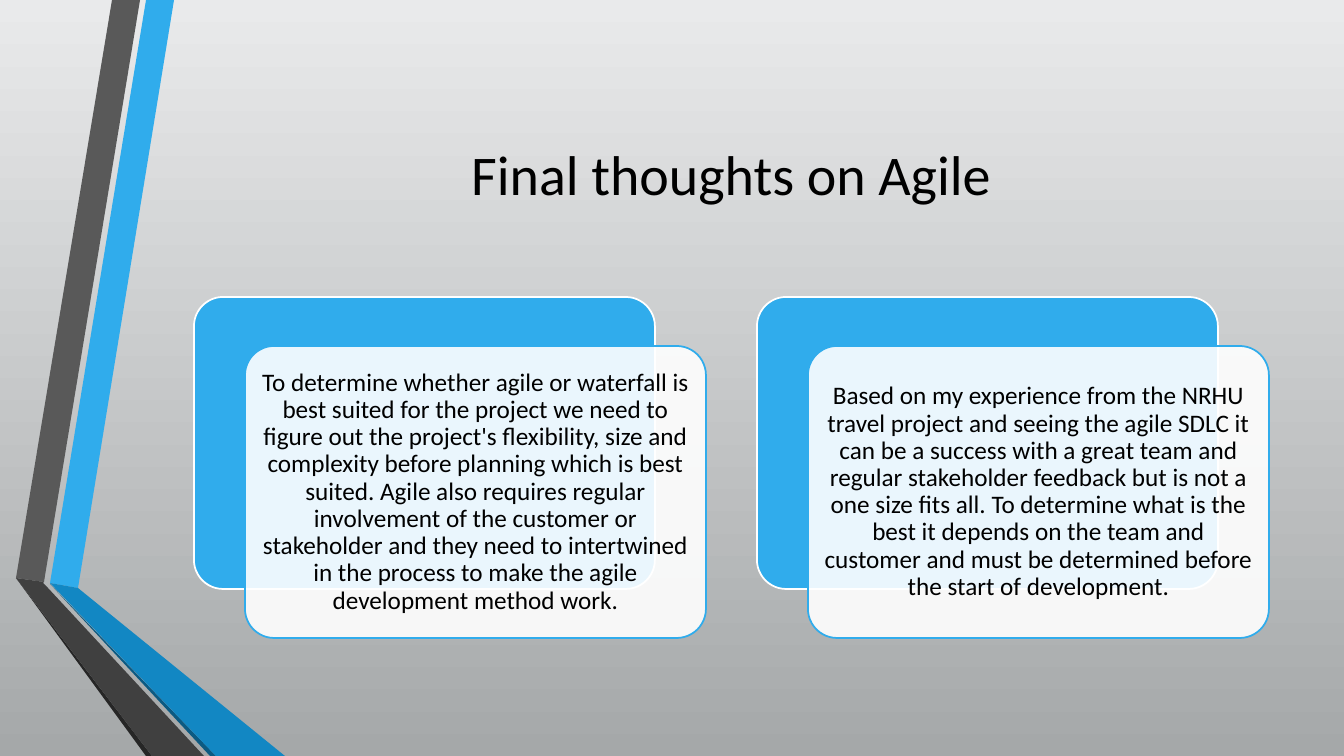
from pptx import Presentation
from pptx.dml.color import RGBColor
from pptx.enum.shapes import MSO_SHAPE
from pptx.enum.text import MSO_ANCHOR, MSO_AUTO_SIZE, PP_ALIGN
from pptx.oxml.ns import qn
from pptx.util import Pt
from lxml.etree import SubElement

TITLE = "Final thoughts on Agile"
THOUGHTS = [
    "To determine whether agile or waterfall is best suited for the project we need to "
    "figure out the project's flexibility, size and complexity before planning which is "
    "best suited. Agile also requires regular involvement of the customer or stakeholder "
    "and they need to intertwined in the process to make the agile development method work.",
    "Based on my experience from the NRHU travel project and seeing the agile SDLC it can "
    "be a success with a great team and regular stakeholder feedback but is not a one size "
    "fits all. To determine what is the best it depends on the team and customer and must "
    "be determined before the start of development.",
]
RIBBONS = [
    ("30ACEC", [(50, 583), (78, 588), (174, 0), (146, 0)]),
    ("595959", [(140, 0), (112, 0), (16, 578), (44, 582)]),
    ("262626", [(16, 578), (146, 756), (152, 756)]),
    ("0C5A82", [(50, 584), (210, 756), (216, 756)]),
    ("1287C3", [(50, 583), (216, 756), (285, 756), (78, 588)]),
    ("404040", [(204, 756), (48, 588), (43, 583), (44, 582), (16, 578), (152, 756)]),
]
BACKGROUND = ["E9EAEB", "A5A8A9"]
BLUE, WHITE, BLACK = "30ACEC", "FFFFFF", "000000"
FONT = "Calibri"

PX = 914400 / 100.8
SLIDE_W, SLIDE_H = 1344, 756
TITLE_BOX = (194, 76, 1074, 194)
CARD_LEFT, CARD_TOP, CARD_W, CARD_H = 194, 297, 461, 292
CARD_STEP, SHIFT_X, SHIFT_Y = 563, 51, 49
INSET = 7


def px(length):
    """Turn pixels into EMU."""
    return round(length * PX)


def color(value):
    """Turn a hex string into a colour."""
    return RGBColor.from_string(value)


def write(frame, text, size, inset):
    """Put one centred run into a text frame."""
    frame.word_wrap = True
    frame.auto_size = MSO_AUTO_SIZE.NONE
    frame.vertical_anchor = MSO_ANCHOR.MIDDLE
    frame.margin_left = frame.margin_right = px(inset)
    frame.margin_top = frame.margin_bottom = px(inset)
    paragraph = frame.paragraphs[0]
    paragraph.alignment = PP_ALIGN.CENTER
    run = paragraph.add_run()
    run.text = text
    run.font.size = Pt(size)
    run.font.name = FONT
    run.font.color.rgb = color(BLACK)
    return paragraph


def add_ribbon(slide, fill, points):
    """Draw one closed ribbon facet."""
    builder = slide.shapes.build_freeform(*points[0], scale=PX)
    builder.add_line_segments(points[1:], close=True)
    ribbon = builder.convert_to_shape()
    ribbon.shadow.inherit = False
    ribbon.fill.solid()
    ribbon.fill.fore_color.rgb = color(fill)
    ribbon.line.fill.background()


def add_card(slide, left, top, fill, line):
    """Draw one rounded card."""
    box = map(px, (left, top, CARD_W, CARD_H))
    card = slide.shapes.add_shape(MSO_SHAPE.ROUNDED_RECTANGLE, *box)
    card.adjustments[0] = 0.1
    card.shadow.inherit = False
    card.fill.solid()
    card.fill.fore_color.rgb = color(fill)
    card.line.color.rgb = color(line)
    card.line.width = Pt(1.25)
    return card


def add_thought(slide, left, text):
    """Draw a blue card with a translucent text card over it."""
    add_card(slide, left, CARD_TOP, BLUE, WHITE)
    front = add_card(slide, left + SHIFT_X, CARD_TOP + SHIFT_Y, WHITE, BLUE)
    tint = front.fill._xPr.find(qn("a:solidFill"))[0]
    SubElement(tint, qn("a:alpha")).set("val", "90000")
    write(front.text_frame, text, 18, INSET).line_spacing = 0.9


def main():
    """Build and save the slide."""
    deck = Presentation()
    deck.slide_width, deck.slide_height = px(SLIDE_W), px(SLIDE_H)
    slide = deck.slides.add_slide(deck.slide_layouts[5])
    backdrop = slide.background.fill
    backdrop.gradient()
    backdrop.gradient_angle = 270
    for stop, shade in zip(backdrop.gradient_stops, BACKGROUND):
        stop.color.rgb = color(shade)
    for fill, points in RIBBONS:
        add_ribbon(slide, fill, points)
    title = slide.shapes.title
    title.left, title.top, title.width, title.height = map(px, TITLE_BOX)
    write(title.text_frame, TITLE, 40, INSET)
    for index, thought in enumerate(THOUGHTS):
        add_thought(slide, CARD_LEFT + index * CARD_STEP, thought)
    deck.save("out.pptx")


if __name__ == "__main__":
    main()
